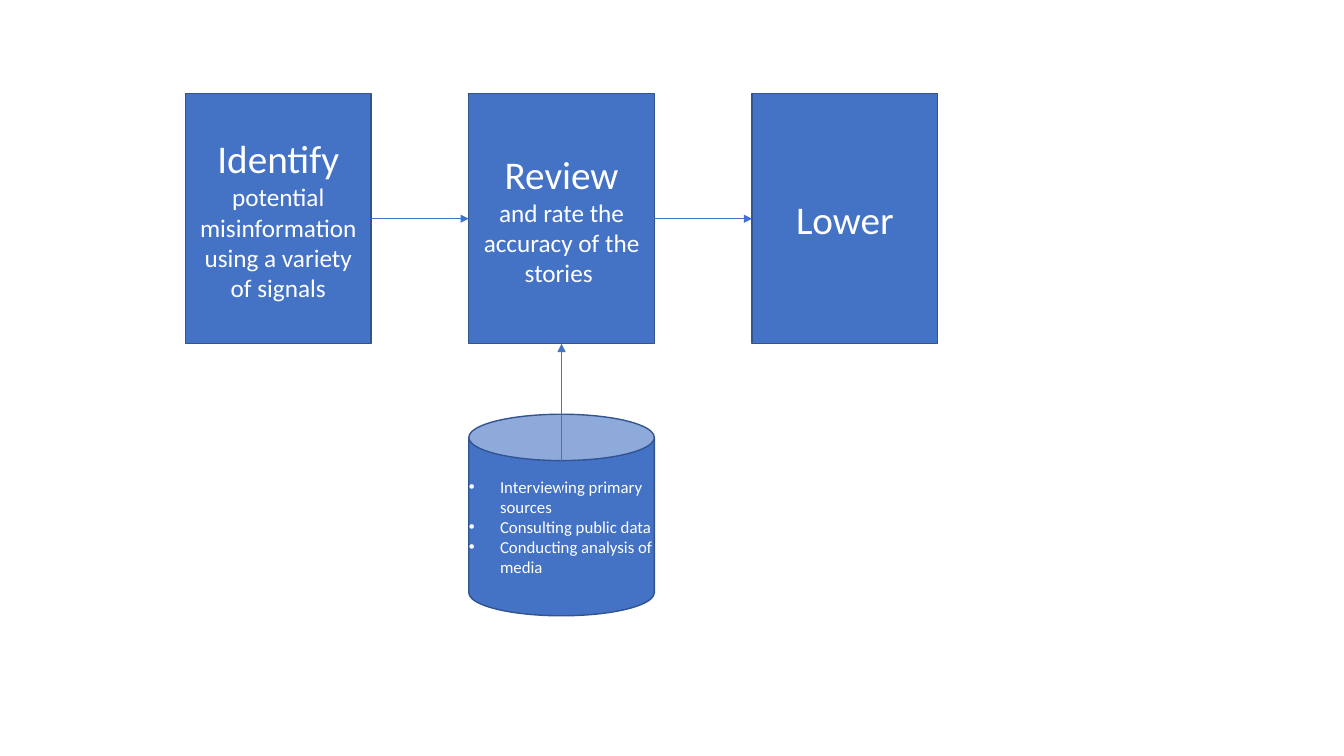
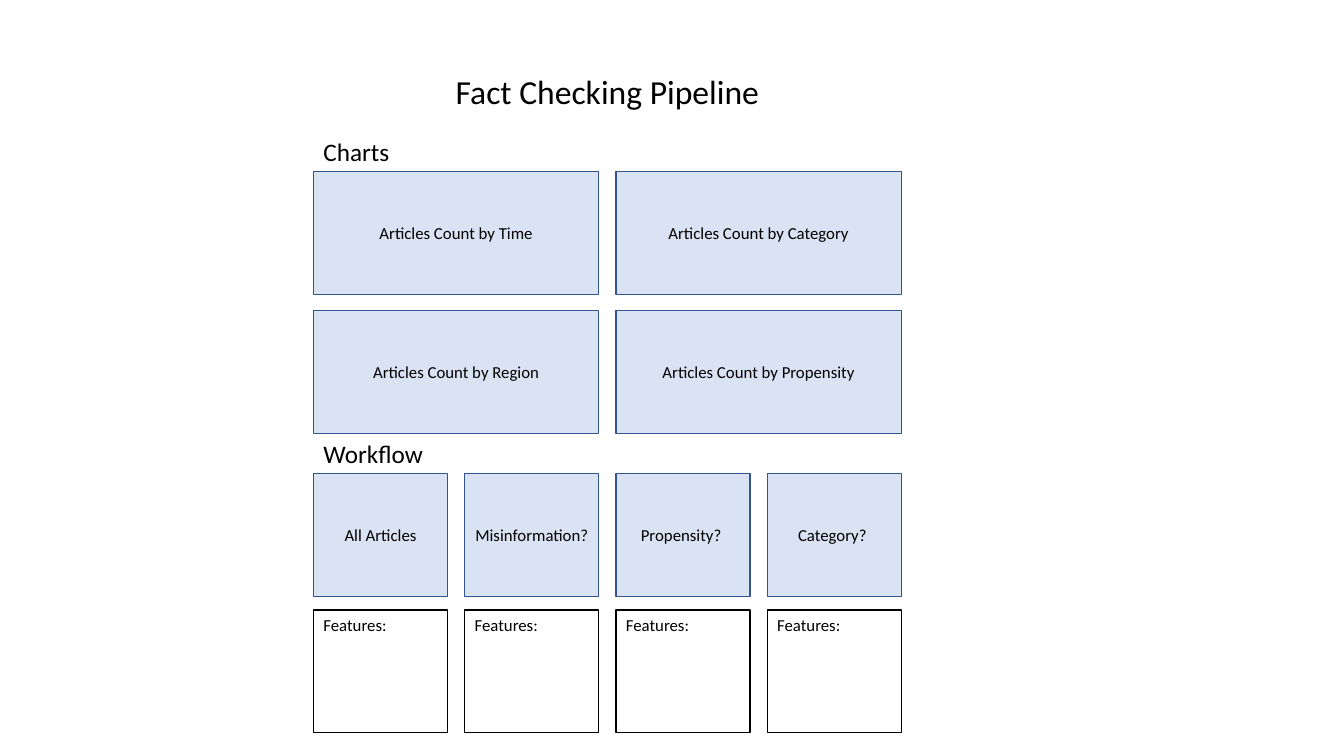
from lxml.etree import SubElement
from pptx import Presentation
from pptx.dml.color import RGBColor
from pptx.enum.shapes import MSO_CONNECTOR, MSO_SHAPE
from pptx.enum.text import MSO_ANCHOR, MSO_AUTO_SIZE, PP_ALIGN
from pptx.oxml.ns import qn
from pptx.util import Inches, Pt

BLUE = RGBColor(0x44, 0x72, 0xC4)
DARK_BLUE = RGBColor(0x32, 0x54, 0x91)
PALE_BLUE = RGBColor(0xDA, 0xE3, 0xF3)
WHITE = RGBColor(0xFF, 0xFF, 0xFF)
BLACK = RGBColor(0x00, 0x00, 0x00)

TITLE_ONLY, BLANK = 5, 6
TOP, LEFT, BOTTOM, RIGHT = range(4)  # connection sites of a rectangle


class Deck:
    font_name = "Calibri"

    def __init__(self):
        self.presentation = Presentation()
        self.presentation.slide_width = Inches(13.33)
        self.presentation.slide_height = Inches(7.5)
        self.slide = None

    def add_slide(self, layout):
        layouts = self.presentation.slide_layouts
        self.slide = self.presentation.slides.add_slide(layouts[layout])

    def set_text(self, frame, lines, color, align, anchor):
        """Fill a text frame with (text, size) pairs, one per paragraph."""
        frame.word_wrap = True
        frame.auto_size = MSO_AUTO_SIZE.NONE
        frame.vertical_anchor = anchor
        for index, (text, size) in enumerate(lines):
            paragraph = frame.add_paragraph() if index else frame.paragraphs[0]
            paragraph.text = text
            paragraph.alignment = align
            paragraph.font.name = self.font_name
            paragraph.font.size = Pt(size)
            paragraph.font.color.rgb = color

    def title(self, text, left, top, width, height):
        title = self.slide.shapes.title
        title.left, title.top = Inches(left), Inches(top)
        title.width, title.height = Inches(width), Inches(height)
        self.set_text(title.text_frame, [(text, 24)], BLACK,
                      PP_ALIGN.CENTER, MSO_ANCHOR.MIDDLE)

    def heading(self, text, left, top, width, height):
        box = self.slide.shapes.add_textbox(
            Inches(left), Inches(top), Inches(width), Inches(height))
        self.set_text(box.text_frame, [(text, 18)], BLACK,
                      PP_ALIGN.LEFT, MSO_ANCHOR.TOP)

    def box(self, lines, left, top, width, height, fill=PALE_BLUE,
            line=DARK_BLUE, color=BLACK, align=PP_ALIGN.CENTER,
            anchor=MSO_ANCHOR.MIDDLE, preset=MSO_SHAPE.RECTANGLE):
        shape = self.slide.shapes.add_shape(
            preset, Inches(left), Inches(top), Inches(width), Inches(height))
        shape.shadow.inherit = False
        if fill is None:
            shape.fill.background()
        else:
            shape.fill.solid()
            shape.fill.fore_color.rgb = fill
        shape.line.color.rgb = line
        shape.line.width = Pt(1)
        self.set_text(shape.text_frame, lines, color, align, anchor)
        return shape

    def bulleted_can(self, items, left, top, width, height):
        can = self.box([(item, 12) for item in items], left, top, width,
                       height, BLUE, color=WHITE, align=PP_ALIGN.LEFT,
                       preset=MSO_SHAPE.CAN)
        frame = can.text_frame
        frame.margin_left = frame.margin_right = 0
        frame.margin_top = frame.margin_bottom = 0
        indent = Inches(0.31)
        for paragraph in frame.paragraphs:
            properties = paragraph._p.get_or_add_pPr()
            properties.set("marL", str(indent))
            properties.set("indent", str(-indent))
            bullet_font = SubElement(properties, qn("a:buFont"))
            bullet_font.set("typeface", "Arial")
            SubElement(properties, qn("a:buChar")).set("char", "•")
            # The schema wants the default run properties last.
            properties.append(properties.find(qn("a:defRPr")))

    def arrow(self, start, end):
        connector = self.slide.shapes.add_connector(
            MSO_CONNECTOR.STRAIGHT, *map(Inches, start + end))
        connector.line.color.rgb = BLUE
        connector.line.width = Pt(0.5)
        line = connector.line._get_or_add_ln()
        SubElement(line, qn("a:tailEnd")).set("type", "triangle")
        SubElement(connector._element.spPr, qn("a:effectLst"))
        return connector


def build_process(deck):
    deck.add_slide(BLANK)
    left, top, width, height, step = 1.84, 0.93, 1.84, 2.48, 2.81
    stages = [
        [("Identify", 28),
         ("potential misinformation using a variety of signals", 18)],
        [("Review", 28), ("and rate the accuracy of the stories ", 18)],
        [("Lower", 28)],
    ]
    boxes = [deck.box(lines, left + index * step, top, width, height,
                      BLUE, color=WHITE)
             for index, lines in enumerate(stages)]

    middle = top + height / 2
    for index, (source, target) in enumerate(zip(boxes, boxes[1:])):
        start = left + index * step + width
        arrow = deck.arrow((start, middle), (start + step - width, middle))
        arrow.begin_connect(source, RIGHT)
        arrow.end_connect(target, LEFT)

    review_left = left + step
    deck.bulleted_can(
        ["Interviewing primary sources", "Consulting public data",
         "Conducting analysis of media"],
        review_left, 4.11, width, 2)
    center = review_left + width / 2
    arrow = deck.arrow((center, 4.97), (center, top + height))
    arrow.end_connect(boxes[1], BOTTOM)


def build_dashboard(deck):
    deck.add_slide(TITLE_ONLY)
    left, column, step, row = 3.11, 1.33, 1.5, 1.22
    chart = step + column  # a chart spans two columns
    deck.title("Fact Checking Pipeline", left, 0.51, 2 * step + chart, 0.79)

    deck.heading("Charts", left, 1.3, column, 0.4)
    for index, subject in enumerate(
            ["Time", "Category", "Region", "Propensity"]):
        deck.box([(f"Articles Count by {subject}", 12)],
                 left + index % 2 * 2 * step, 1.7 + index // 2 * 1.38,
                 chart, row)

    deck.heading("Workflow", left, 4.3, column, 0.4)
    for index, stage in enumerate(
            ["All Articles", "Misinformation? ", "Propensity? ",
             "Category? "]):
        stage_left = left + index * step
        deck.box([(stage, 12)], stage_left, 4.7, column, row)
        deck.box([("Features:", 12)], stage_left, 6.05, column, row,
                 fill=None, line=BLACK, align=PP_ALIGN.LEFT,
                 anchor=MSO_ANCHOR.TOP)


def main():
    deck = Deck()
    build_process(deck)
    build_dashboard(deck)
    deck.presentation.save("out.pptx")


if __name__ == "__main__":
    main()
